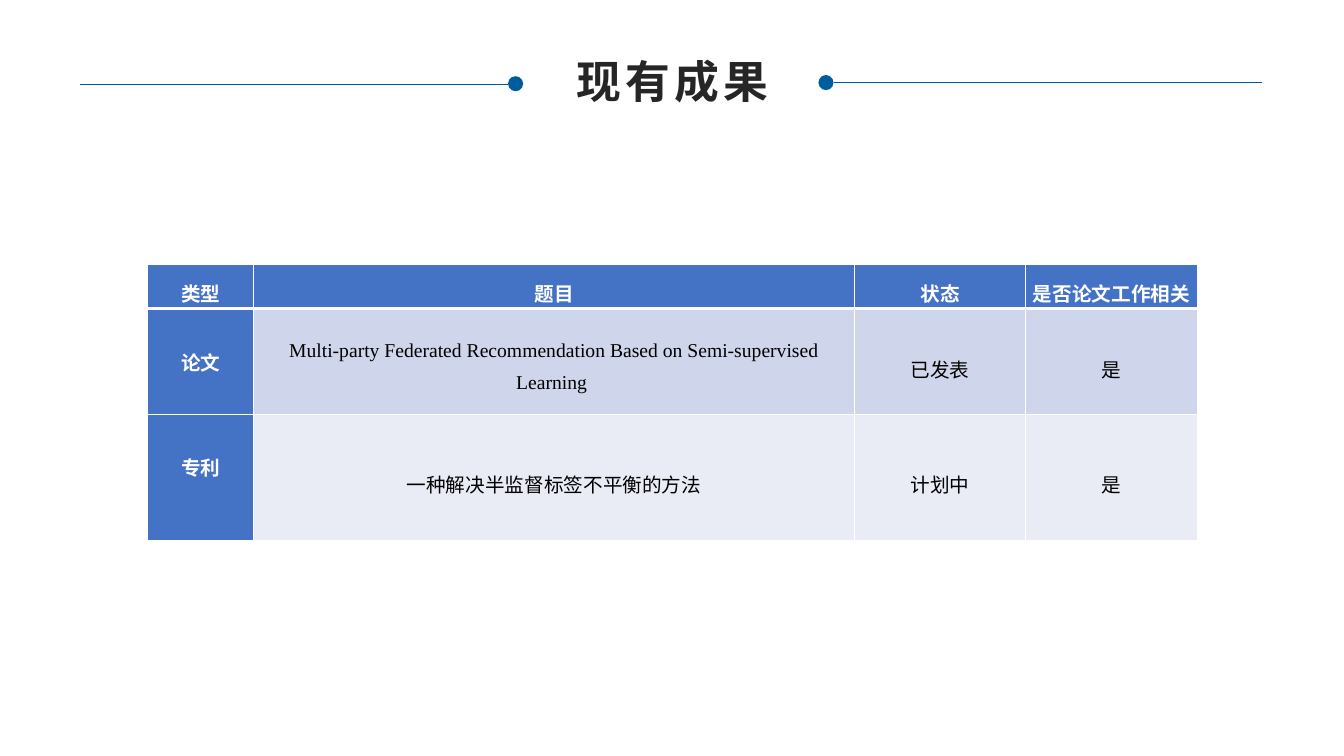
import dataclasses

import pptx
import pptx.dml.color
import pptx.enum.shapes
import pptx.enum.text
import pptx.oxml
import pptx.oxml.ns
import pptx.util

Pt = pptx.util.Pt
CENTER = pptx.enum.text.PP_ALIGN.CENTER
MIDDLE = pptx.enum.text.MSO_ANCHOR.MIDDLE
TOP = pptx.enum.text.MSO_ANCHOR.TOP


@dataclasses.dataclass(frozen=True)
class Theme:
    title_color: str = "262626"
    rule_color: str = "005D9D"
    header_fill: str = "4472C4"
    band_fills: tuple = ("CFD5EA", "E9EBF5")
    border_color: str = "FFFFFF"
    header_text: str = "FFFFFF"
    body_text: str = "000000"
    heading_font: str = "Calibri"
    body_font: str = "Times New Roman"
    title_size: float = 32
    table_size: float = 14
    title_spacing: float = 3


def rgb(code):
    return pptx.dml.color.RGBColor.from_string(code)


class SlideBuilder:
    def __init__(self, deck, theme):
        self.theme = theme
        self.page = deck.slides.add_slide(deck.slide_layouts[5])

    def format_span(self, span, font, size, color, bold):
        span.font.name = font
        span.font.size = Pt(size)
        span.font.color.rgb = rgb(color)
        span.font.bold = bold

    def title(self, text, left, top, width, height):
        box = self.page.shapes.title
        box.left, box.top, box.width, box.height = map(Pt, (left, top, width, height))
        frame = box.text_frame
        frame.text = text
        frame.word_wrap = False
        frame.auto_size = pptx.enum.text.MSO_AUTO_SIZE.NONE
        frame.vertical_anchor = MIDDLE
        para = frame.paragraphs[0]
        para.alignment = CENTER
        span = para.runs[0]
        self.format_span(span, self.theme.heading_font, self.theme.title_size,
                         self.theme.title_color, True)
        span._r.get_or_add_rPr().set("spc", str(self.theme.title_spacing * 100))

    def rule(self, start, end, y):
        line = self.page.shapes.add_connector(
            pptx.enum.shapes.MSO_CONNECTOR.STRAIGHT, Pt(start), Pt(y), Pt(end), Pt(y))
        line.line.color.rgb = rgb(self.theme.rule_color)
        line.line.width = Pt(0.25)
        properties = line._element.spPr
        properties.append(properties.makeelement(pptx.oxml.ns.qn("a:effectLst"), {}))

    def dot(self, left, center_y, size):
        dot = self.page.shapes.add_shape(
            pptx.enum.shapes.MSO_SHAPE.OVAL,
            Pt(left), Pt(center_y - size / 2), Pt(size), Pt(size))
        dot.shadow.inherit = False
        dot.fill.solid()
        dot.fill.fore_color.rgb = rgb(self.theme.rule_color)
        dot.line.fill.background()

    def borders(self, cell, **widths):
        properties = cell._tc.get_or_add_tcPr()
        for index, side in enumerate("LRTB"):
            properties.insert(index, pptx.oxml.parse_xml(
                f'<a:ln{side} {pptx.oxml.ns.nsdecls("a")} w="{Pt(widths.get(side, 1))}">'
                f'<a:solidFill><a:srgbClr val="{self.theme.border_color}"/></a:solidFill>'
                f'</a:ln{side}>'))

    def cell(self, cell, text, font, color, bold, fill, anchor, margin_top=0):
        cell.fill.solid()
        cell.fill.fore_color.rgb = rgb(fill)
        cell.margin_left = cell.margin_right = Pt(4.3)
        cell.margin_top, cell.margin_bottom = Pt(margin_top), Pt(0)
        cell.vertical_anchor = anchor
        cell.text_frame.text = text
        para = cell.text_frame.paragraphs[0]
        para.alignment = CENTER
        para.line_spacing = 1.5
        self.format_span(para.runs[0], font, self.theme.table_size, color, bold)

    def table(self, rows, left, top, widths, heights):
        """Fill a table whose first row and first column are headers."""
        theme = self.theme
        table = self.page.shapes.add_table(
            len(rows), len(widths), Pt(left), Pt(top),
            Pt(sum(widths)), Pt(sum(heights))).table
        for column, width in zip(table.columns, widths):
            column.width = Pt(width)
        for row, height in zip(table.rows, heights):
            row.height = Pt(height)
        for row_index, texts in enumerate(rows):
            for column_index, text in enumerate(texts):
                cell = table.cell(row_index, column_index)
                if row_index == 0:
                    font = theme.heading_font if column_index < 2 else theme.body_font
                    self.cell(cell, text, font, theme.header_text, True,
                              theme.header_fill, TOP)
                    self.borders(cell, B=3)
                    continue
                if column_index == 0:
                    self.cell(cell, text, theme.body_font, theme.header_text, True,
                              theme.header_fill, TOP, margin_top=17.5)
                else:
                    self.cell(cell, text, theme.body_font, theme.body_text, False,
                              theme.band_fills[row_index - 1], MIDDLE)
                self.borders(cell, T=3 if row_index == 1 else 1)


def main():
    deck = pptx.Presentation()
    deck.slide_width, deck.slide_height = Pt(960), Pt(540)
    builder = SlideBuilder(deck, Theme())

    dot_size = 10.8
    for outer, inner, dot_left, y in ((56.9, 362.9, 362.9, 59.8),
                                      (901.4, 595.4, 595.4 - dot_size, 59)):
        builder.rule(outer, inner, y)
        builder.dot(dot_left, y, dot_size)

    builder.title("现有成果", 402.5, 34.6, 156.2, 46)
    builder.table(
        [("类型", "题目", "状态", "是否论文工作相关"),
         ("论文", "Multi-party Federated Recommendation Based on Semi-supervised Learning ",
          "已发表", "是"),
         ("专利", "一种解决半监督标签不平衡的方法", "计划中", "是")],
        left=105.4, top=188.6,
        widths=(75.9, 429.1, 122.4, 122.4), heights=(31.7, 75.6, 90))
    deck.save("out.pptx")


if __name__ == "__main__":
    main()
